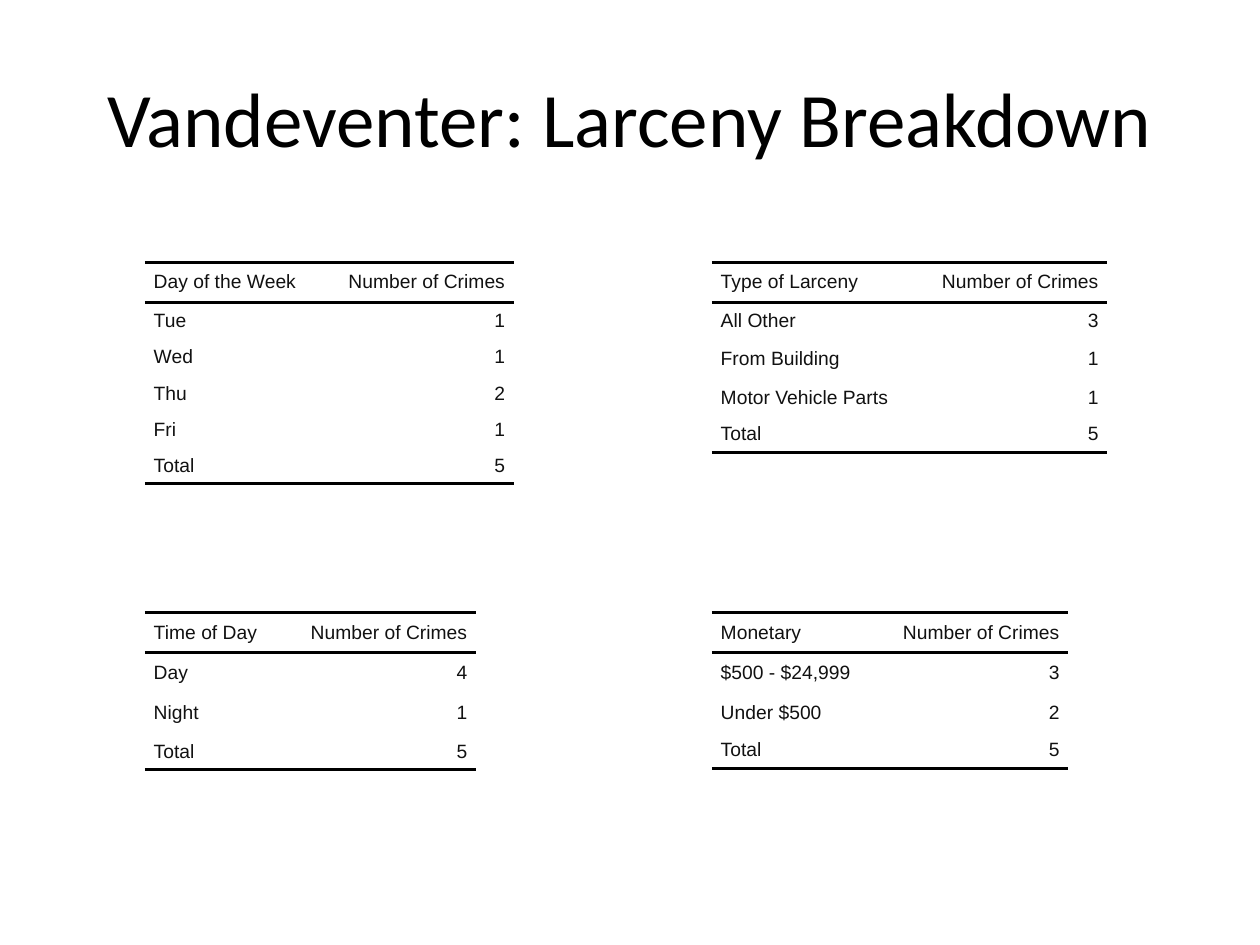
import lxml.etree
import pptx
import pptx.dml.color
import pptx.enum.text
import pptx.oxml.ns
import pptx.util

COLORS = {"title": "000000", "rule": "000000", "text": "111111"}
GRID_COLUMNS, GRID_ROWS = 1000, 750
SLIDE_WIDTH, SLIDE_HEIGHT = pptx.util.Inches(10), pptx.util.Inches(7.5)
PLAIN_STYLE = "{2D5ABB26-0587-4C30-8999-92F81FD0307C}"
CELL_INDENT = 7
LABEL_LEFTS = (115, 565)
TABLE_TOPS = (208, 486)
FRAME_SIZE = (400, 300)
COUNT_WIDTH = 152
ALIGN = pptx.enum.text.PP_ALIGN

BREAKDOWNS = [
    (0, 0, "Day of the Week", 141, [32, 29, 29, 29, 28, 29],
     [("Tue", 1), ("Wed", 1), ("Thu", 2), ("Fri", 1)]),
    (0, 1, "Time of Day", 111, [32, 32, 32, 29],
     [("Day", 4), ("Night", 1)]),
    (1, 0, "Type of Larceny", 162, [32, 29, 32, 29, 29],
     [("All Other", 3), ("From Building", 1), ("Motor Vehicle Parts", 1)]),
    (1, 1, "Monetary", 131, [32, 32, 31, 29],
     [("$500 - $24,999", 3), ("Under $500", 2)]),
]


def across(columns):
    return round(SLIDE_WIDTH * columns / GRID_COLUMNS)


def down(rows):
    return round(SLIDE_HEIGHT * rows / GRID_ROWS)


def color(name):
    return pptx.dml.color.RGBColor.from_string(COLORS[name])


def add_rule(cell, side):
    qn = pptx.oxml.ns.qn
    properties = cell._tc.get_or_add_tcPr()
    line = lxml.etree.SubElement(
        properties, qn(f"a:ln{side}"), w=str(pptx.util.Pt(2)))
    fill = lxml.etree.SubElement(line, qn("a:solidFill"))
    lxml.etree.SubElement(fill, qn("a:srgbClr"), val=COLORS["rule"])


def format_cell(cell, text, alignment, sides):
    for side in sides:
        add_rule(cell, side)
    cell.fill.background()
    cell.margin_left = cell.margin_right = 0
    cell.margin_top = cell.margin_bottom = 0
    cell.vertical_anchor = pptx.enum.text.MSO_ANCHOR.MIDDLE
    cell.text = text
    paragraph = cell.text_frame.paragraphs[0]
    properties = paragraph._p.get_or_add_pPr()
    for name in ("marL", "marR"):
        properties.set(name, str(across(CELL_INDENT)))
    properties.set("indent", "0")
    paragraph.alignment = alignment
    paragraph.space_before = paragraph.space_after = pptx.util.Pt(2)
    paragraph.font.size = pptx.util.Pt(11)
    paragraph.font.name = "Arial"
    paragraph.font.color.rgb = color("text")


def add_title(slide, box, text):
    title = slide.shapes.title
    title.left, title.top, title.width, title.height = box
    title.text_frame.text = text
    title.text_frame.vertical_anchor = pptx.enum.text.MSO_ANCHOR.MIDDLE
    paragraph = title.text_frame.paragraphs[0]
    paragraph.alignment = ALIGN.CENTER
    paragraph.font.size = pptx.util.Pt(44)
    paragraph.font.name = "Calibri"
    paragraph.font.color.rgb = color("title")


def add_breakdown(slide, box, heading, label_width, row_heights, counts):
    total = sum(count for _, count in counts)
    records = [(heading, "Number of Crimes"), *counts, ("Total", total)]
    frame = slide.shapes.add_table(len(records), 2, *box)
    for style in frame.element.iter(pptx.oxml.ns.qn("a:tableStyleId")):
        style.text = PLAIN_STYLE
    table = frame.table
    table.first_row = table.horz_banding = False
    for column, width in zip(table.columns, (label_width, COUNT_WIDTH)):
        column.width = across(width)
    for row, height in zip(table.rows, row_heights):
        row.height = down(height)
    for index, record in enumerate(records):
        sides = "TB" if index == 0 else "B" if index == len(records) - 1 else ""
        for cell, value, alignment in zip(
                table.rows[index].cells, record, (ALIGN.LEFT, ALIGN.RIGHT)):
            format_cell(cell, str(value), alignment, sides)
    frame.width, frame.height = box[2:]


def main():
    presentation = pptx.Presentation()
    presentation.slide_width = SLIDE_WIDTH
    presentation.slide_height = SLIDE_HEIGHT
    slide = presentation.slides.add_slide(presentation.slide_layouts[5])
    add_title(slide, (across(50), down(30), across(900), down(125)),
              "Vandeventer: Larceny Breakdown")
    for column, row, *content in BREAKDOWNS:
        box = (across(LABEL_LEFTS[column]), down(TABLE_TOPS[row]),
               across(FRAME_SIZE[0]), down(FRAME_SIZE[1]))
        add_breakdown(slide, box, *content)
    presentation.save("out.pptx")


if __name__ == "__main__":
    main()
